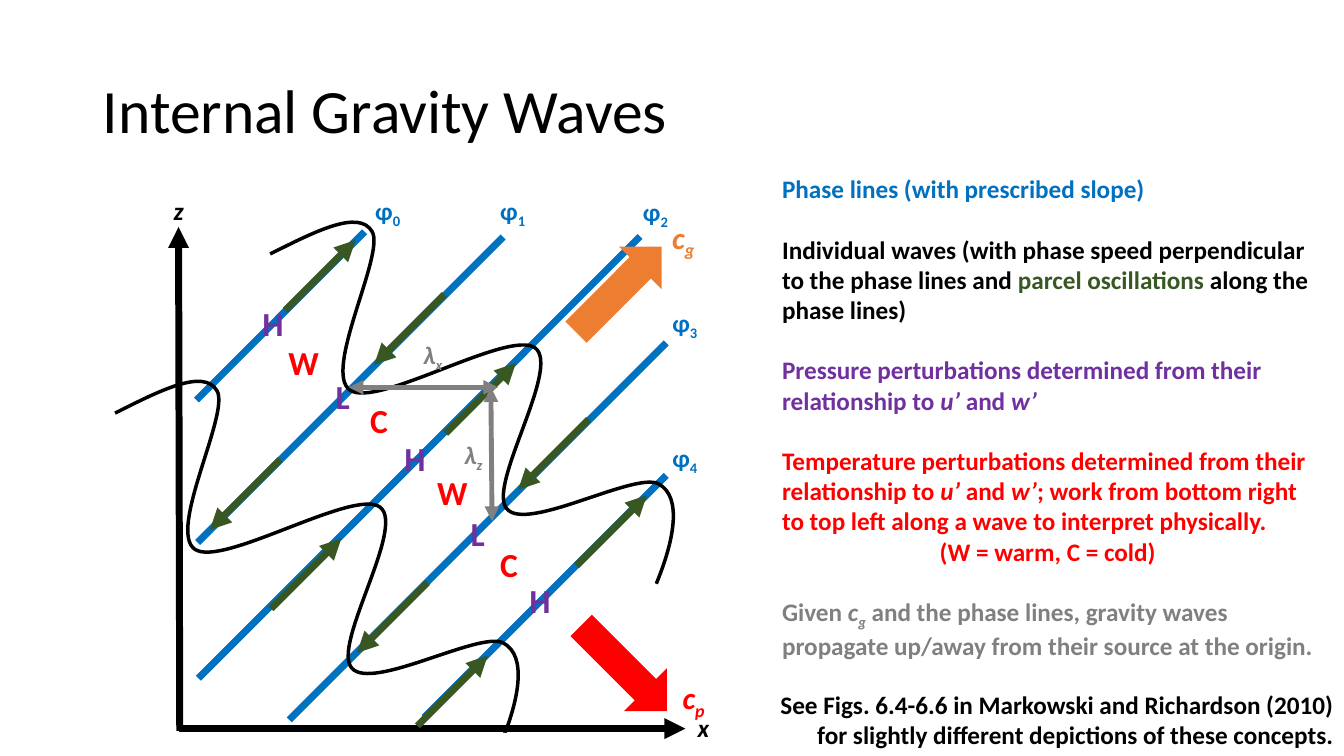
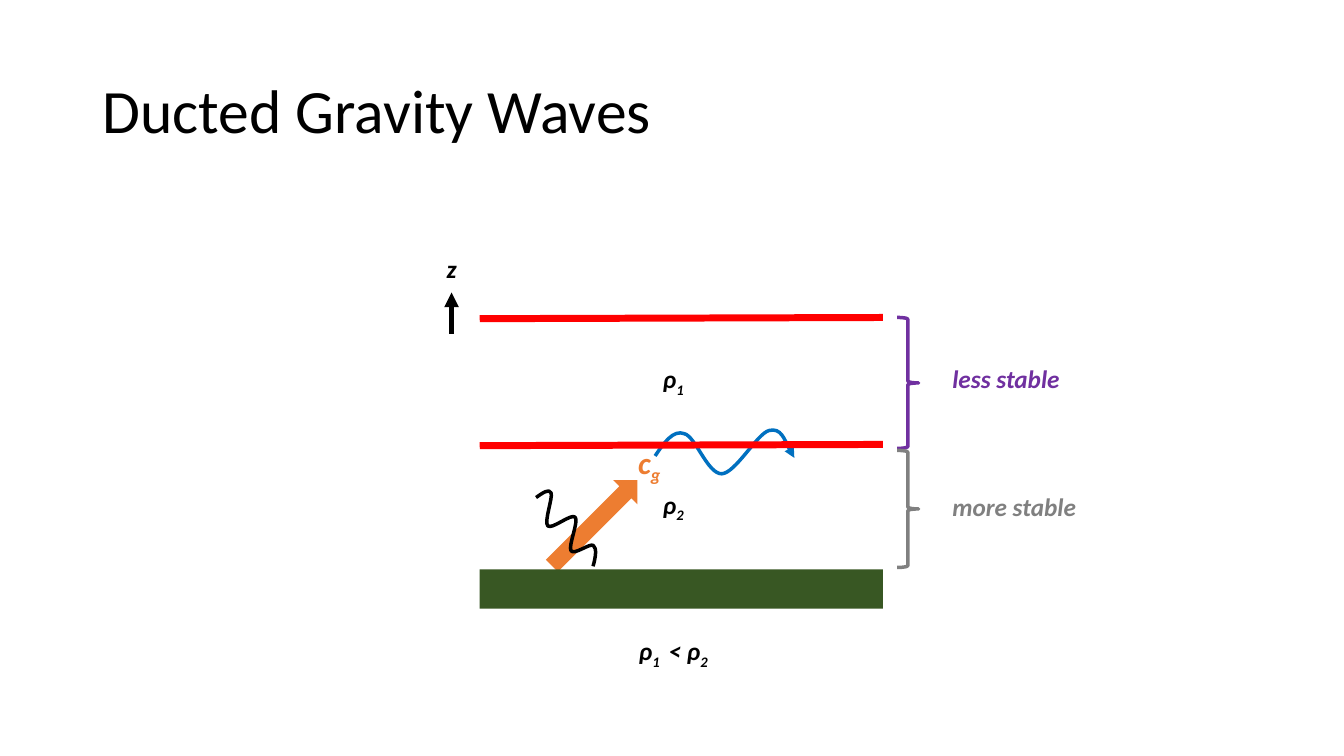
from dataclasses import dataclass
from typing import Any

from lxml.etree import SubElement
from pptx import Presentation
from pptx.dml.color import RGBColor as RGB
from pptx.enum.shapes import MSO_CONNECTOR as LINK, MSO_SHAPE as SHAPE
from pptx.enum.text import MSO_ANCHOR as ANCHOR, PP_ALIGN as ALIGN
from pptx.oxml.ns import qn
from pptx.util import Cm, Pt

FONT = "Calibri"
BLACK = RGB(0x00, 0x00, 0x00)
WHITE = RGB(0xFF, 0xFF, 0xFF)
BLUE = RGB(0x00, 0x70, 0xC0)
GREEN = RGB(0x38, 0x57, 0x23)
PURPLE = RGB(0x70, 0x30, 0xA0)
RED = RGB(0xFF, 0x00, 0x00)
GREY = RGB(0x80, 0x80, 0x80)
ORANGE = RGB(0xED, 0x7D, 0x31)

WAVE = (10.16, 9.12)
CREST = [
    (0, 0.81), (1.12, 0.25), (2.24, -0.33), (2.57, 0.25),
    (2.9, 0.81), (1.32, 3.76), (2.01, 4.24),
    (2.69, 4.72), (6.02, 2.69), (6.68, 3.18),
    (7.34, 3.68), (5.44, 6.68), (5.97, 7.24),
    (6.48, 7.82), (9.17, 6.3), (9.78, 6.6),
    (10.41, 6.93), (10.16, 8.08), (9.73, 9.12),
]
RIPPLE = (3.51, 1.09)
SWELL = [
    (0, 0.64), (0.23, 0.3), (0.46, -0.03), (0.74, 0.08),
    (1.02, 0.15), (1.32, 1.09), (1.68, 1.09),
    (2.03, 1.07), (2.57, 0.08), (2.87, 0),
    (3.18, -0.08), (3.33, 0.41), (3.51, 0.69),
]
PHASES = [
    (0.45, 4.36, 4.24, 5.27, -0.92),
    (0.48, 7.95, 7.7, 8.42, -0.92),
    (0.5, 11.37, 11.13, 12.02, -0.9),
    (2.79, 12.42, 9.5, 12.76, 1.9),
    (6.19, 12.36, 6.1, 12.76, 5.3),
]
RISING = [(6.73, 5.2), (10.03, 8.53), (2.69, 2.1), (2.33, 9.62), (6.02, 12.57)]
FALLING = [(10.33, 4.85), (6.7, 1.7), (6.27, 8.96), (2.56, 5.86)]
MARKS = [
    ("L", PURPLE, [(7.54, 7.08), (4.14, 3.63)]),
    ("H", PURPLE, [(2.38, 1.8), (5.96, 5.2), (9.11, 8.78)]),
    ("W", RED, [(3.15, 2.76), (6.9, 6.04)]),
    ("C", RED, [(8.33, 7.87), (5.05, 4.24)]),
]
WINDS = [("u’", "i"), (" and ", ""), ("w’", "i")]
LEGEND = [
    (BLUE, [("Phase lines (with prescribed slope)", "")]),
    (BLACK, [
        ("Individual waves (with phase speed perpendicular to the phase lines and ", ""),
        ("parcel oscillations", "g"),
        (" along the phase lines)", ""),
    ]),
    (PURPLE, [("Pressure perturbations determined from their relationship to ", "")] + WINDS),
    (RED, [("Temperature perturbations determined from their relationship to ", "")] + WINDS + [
        ("; work from bottom right to top left along a wave to interpret physically.", ""),
    ]),
    (RED, [("(W = warm, C = cold)", "")]),
    (GREY, [
        ("Given ", ""), ("c", "i"), ("g", "is"),
        (" and the phase lines, gravity waves propagate up/away from their source at the origin.", ""),
    ]),
]


@dataclass
class Pad:
    """Shapes of a slide with the corner that positions count from."""
    shapes: Any
    left: float = 0
    top: float = 0

    def at(self, x, y):
        """Turn a position on the pad into slide lengths."""
        return Cm(self.left + x), Cm(self.top + y)


def write(para, parts, hue, size=18, bold=True):
    """Add runs, flagged i for italic, s for subscript and g for green."""
    for text, flags in parts:
        run = para.add_run()
        run.text = text
        font = run.font
        font.name, font.size, font.bold = FONT, Pt(size), bold
        font.italic = "i" in flags
        font.color.rgb = GREEN if "g" in flags else hue
        if "s" in flags:
            run._r.get_or_add_rPr().set("baseline", "-25000")


def frame(pad, x, y, wide, high):
    """Add an empty wrapping text box and return its frame."""
    body = pad.shapes.add_textbox(*pad.at(x, y), Cm(wide), Cm(high)).text_frame
    body.word_wrap = True
    return body


def label(pad, x, y, parts, hue=BLACK, size=18, wide=1.5):
    """Centre a short bold label on x."""
    high = {18: 1.02, 22: 1.19, 24: 1.27}[size]
    para = frame(pad, x - wide / 2, y, wide, high).paragraphs[0]
    para.alignment = ALIGN.CENTER
    write(para, parts, hue, size)


def symbol(pad, x, y, base, sub, hue=BLACK, size=18, slant="i", wide=1.73):
    """Label a point with a letter and its subscript."""
    label(pad, x, y, [(base, slant), (sub, slant + "s")], hue, size, wide)


def stroke(line, hue, width, ends=()):
    """Style a line and add triangles at the named ends."""
    line.color.rgb = hue
    line.width = Pt(width)
    for end in ends:
        SubElement(line._get_or_add_ln(), qn(f"a:{end}End"), type="triangle")


def link(pad, start, stop, hue, width=5, ends=()):
    """Draw a straight line between two points."""
    line = pad.shapes.add_connector(LINK.STRAIGHT, *pad.at(*start), *pad.at(*stop))
    stroke(line.line, hue, width, ends)
    SubElement(line._element.spPr, qn("a:effectLst"))


def slope(pad, x, y, reach, hue, ends=()):
    """Draw a line at 45 degrees, upward for a positive reach."""
    link(pad, (x, y), (x + reach, y - reach), hue, ends=ends)


def curve(pad, x, y, knots, base, size, hue, ends=()):
    """Fit a chain of cubic curves, drawn on a base size, to a box."""
    wide, high = size
    pen = pad.shapes.build_freeform(*pad.at(x, y))
    pen.add_line_segments([pad.at(x + wide, y + high)], close=False)
    shape = pen.convert_to_shape()
    shape.fill.background()
    shape.shadow.inherit = False
    stroke(shape.line, hue, 2.5, ends)
    track = next(shape._element.iter(qn("a:path")))
    for part in list(track):
        track.remove(part)
    for i in range(0, len(knots), 3):
        bend = SubElement(track, qn("a:cubicBezTo" if i else "a:moveTo"))
        for px, py in knots[max(i - 2, 0):i + 1]:
            spot = SubElement(bend, qn("a:pt"))
            spot.set("x", str(int(Cm(px * wide / base[0]))))
            spot.set("y", str(int(Cm(py * high / base[1]))))


def block(pad, kind, x, y, wide, high, hue, turn=0):
    """Add a filled shape without outline."""
    shape = pad.shapes.add_shape(kind, *pad.at(x, y), Cm(wide), Cm(high))
    shape.shadow.inherit = False
    shape.fill.solid()
    shape.fill.fore_color.rgb = hue
    shape.line.fill.background()
    shape.rotation = turn


def brace(pad, y, high, hue, text, drop):
    """Bracket a layer on the right and name it."""
    shape = pad.shapes.add_shape(SHAPE.RIGHT_BRACE, *pad.at(10.52, y), Cm(0.54), Cm(high))
    shape.shadow.inherit = False
    shape.fill.background()
    stroke(shape.line, hue, 2.5)
    write(frame(pad, 11.66, drop, 6, 1.02).paragraphs[0], [(text, "i")], hue)


def page(deck, title):
    """Add a blank slide with its title and return its shapes."""
    pad = Pad(deck.slides.add_slide(deck.slide_layouts[6]).shapes)
    body = frame(pad, 2.34, 1.02, 29.21, 3.68)
    body.vertical_anchor = ANCHOR.MIDDLE
    body.paragraphs[0].line_spacing = 0.9
    write(body.paragraphs[0], [(title, "")], BLACK, 44, False)
    return pad.shapes


def phases(pad):
    """Draw the axes, phase lines, waves and parcel motions."""
    link(pad, (0.03, 12.7), (0, 0), BLACK, ends=["tail"])
    link(pad, (0, 12.64), (12.77, 12.64), BLACK, ends=["tail"])
    label(pad, 0, -0.92, [("z", "i")], wide=0.91)
    label(pad, 13.23, 12.11, [("x", "i")], wide=0.91)
    for i, (x, y, reach, lx, ly) in enumerate(PHASES):
        slope(pad, x, y, reach, BLUE)
        symbol(pad, lx, ly, "φ", str(i), BLUE, slant="", wide=1.5)
    for x, y in ((2.31, -0.13), (-1.6, 3.88)):
        curve(pad, x, y, CREST, WAVE, WAVE, BLACK)
    block(pad, SHAPE.RECTANGLE, 7.62, 11.12, 0.58, 3.83, WHITE, 270)
    block(pad, SHAPE.RIGHT_ARROW, 9.7, 10.36, 3.05, 1.52, RED, 45)
    block(pad, SHAPE.RIGHT_ARROW, 9.57, 0.81, 3.05, 1.52, ORANGE, 315)
    symbol(pad, 12.98, 11.27, "c", "p", RED, 22)
    symbol(pad, 12.72, -0.34, "c", "g", ORANGE, 22)
    for starts, reach in ((RISING, 1.77), (FALLING, -1.77)):
        for x, y in starts:
            slope(pad, x, y, reach, GREEN, ["tail"])
    for text, hue, spots in MARKS:
        for x, y in spots:
            label(pad, x, y, [(text, "")], hue, 24, 1.27)
    link(pad, (4.29, 4.04), (8.05, 4.04), GREY, 3.5, ["head", "tail"])
    link(pad, (7.87, 4.04), (7.9, 7.41), GREY, 3.5, ["head", "tail"])
    symbol(pad, 7.43, 5.23, "λ", "z", GREY, wide=1.96)
    symbol(pad, 6.41, 2.71, "λ", "x", GREY, wide=1.96)


def legend(pad):
    """Write the colour-coded explanations and the reference."""
    body = frame(pad, 0, 0, 13.89, 12.57)
    for i, (hue, parts) in enumerate(LEGEND):
        para = body.add_paragraph() if i else body.paragraphs[0]
        if parts[0][0].startswith("("):
            para.alignment = ALIGN.CENTER
        elif i:
            para.space_before = Pt(21.5)
        write(para, parts, hue)
    para = frame(pad, -0.54, 13, 14.94, 1.8).paragraphs[0]
    para.alignment = ALIGN.RIGHT
    write(para, [("See Figs. 6.4-6.6 in Markowski and Richardson (2010) for slightly "
                  "different depictions of these concepts.", "")], BLACK)


def duct(pad):
    """Draw two layers over the ground with a trapped wave."""
    curve(pad, 4.42, 2.85, SWELL, RIPPLE, RIPPLE, BLUE, ["tail"])
    block(pad, SHAPE.RIGHT_ARROW, 1.37, 4.75, 3.05, 0.86, ORANGE, 315)
    symbol(pad, 4.27, 3.05, "c", "g", ORANGE, 22)
    for y in (0, 3.2):
        link(pad, (0, y + 0.03), (10.16, y), RED)
    link(pad, (-0.71, 0.41), (-0.71, -0.63), BLACK, 3.5, ["tail"])
    label(pad, -0.71, -1.75, [("z", "i")], wide=0.91)
    symbol(pad, 4.88, 1.04, "ρ", "1", wide=4.42)
    symbol(pad, 4.88, 4.21, "ρ", "2", wide=4.42)
    label(pad, 4.88, 7.89, [("ρ", "i"), ("1 ", "is"), (" < ρ", "i"), ("2", "is")], wide=4.42)
    block(pad, SHAPE.RECTANGLE, 0, 6.35, 10.16, 0.99, GREEN)
    curve(pad, 1.42, 4.37, CREST, WAVE, (1.5, 1.9), BLACK)
    brace(pad, 0, 3.3, PURPLE, "less stable", 1.04)
    brace(pad, 3.35, 2.95, GREY, "more stable", 4.25)


def main():
    """Build and save the deck."""
    deck = Presentation()
    deck.slide_width, deck.slide_height = Cm(33.87), Cm(19.05)
    shapes = page(deck, "Internal Gravity Waves")
    phases(Pad(shapes, 4.5, 5.72))
    legend(Pad(shapes, 19.46, 4.25))
    duct(Pad(page(deck, "Ducted Gravity Waves"), 12.09, 8))
    deck.save("out.pptx")


if __name__ == "__main__":
    main()
